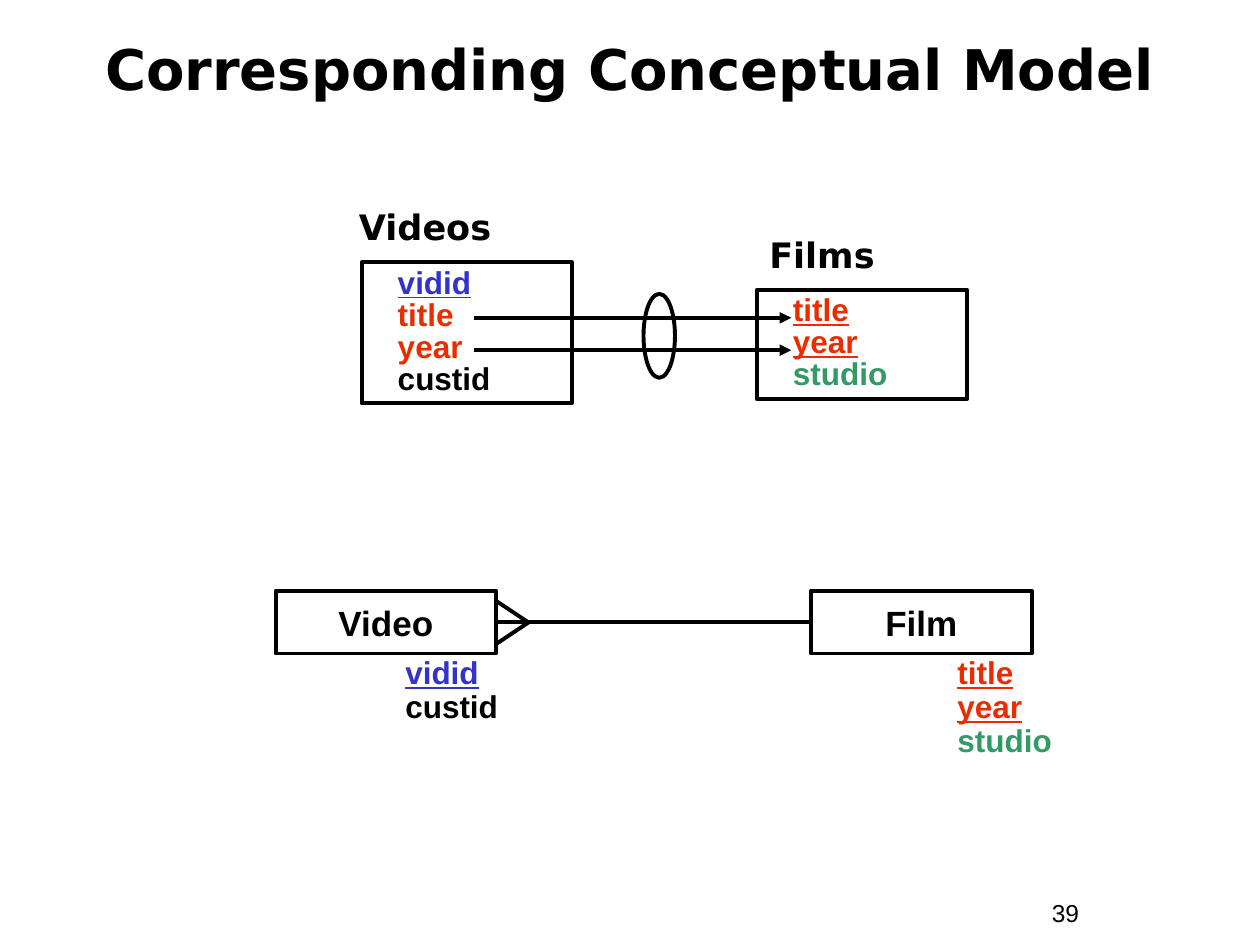
from pptx import Presentation
from pptx.dml.color import RGBColor
from pptx.enum.shapes import MSO_CONNECTOR as Connector, MSO_SHAPE as Shape
from pptx.enum.text import MSO_ANCHOR as Anchor, PP_ALIGN as Align
from pptx.oxml.ns import qn
from pptx.util import Pt
from lxml.etree import SubElement

BLACK = RGBColor(0x00, 0x00, 0x00)
BLUE = RGBColor(0x33, 0x33, 0xCC)
RED = RGBColor(0xEA, 0x2D, 0x00)
GREEN = RGBColor(0x33, 0x99, 0x66)
HEADING_FONT = "DejaVu Sans"
BODY_FONT = "Arial"
LINE_WIDTH = 2.25

# Each attribute is (name, colour, underlined as part of the key).
VIDEO_ID = ("vidid", BLUE, True)
CUSTOMER_ID = ("custid", BLACK, False)
FILM_ATTRIBUTES = [("title", RED, True), ("year", RED, True), ("studio", GREEN, False)]
VIDEO_ATTRIBUTES = [VIDEO_ID, ("title", RED, False), ("year", RED, False), CUSTOMER_ID]


def set_values(target, values):
    for name, value in values.items():
        setattr(target, name, value)


def write_lines(shape, lines, size, font=BODY_FONT, bold=True, align=Align.LEFT,
                anchor=Anchor.TOP, spacing=1.0, indent=0, wrap=True):
    """Fill a shape with one paragraph for each (text, colour, underlined) line."""
    frame = shape.text_frame
    set_values(frame, {"word_wrap": wrap, "vertical_anchor": anchor})
    for number, (text, color, underlined) in enumerate(lines):
        paragraph = frame.add_paragraph() if number else frame.paragraphs[0]
        set_values(paragraph, {"alignment": align, "line_spacing": spacing})
        if indent:
            paragraph._p.get_or_add_pPr().set("marL", str(Pt(indent)))
        run = paragraph.add_run()
        run.text = text
        set_values(run.font, {"name": font, "size": Pt(size), "bold": bold,
                              "underline": underlined})
        run.font.color.rgb = color


def add_text(slide, box, lines, size, **formats):
    text_box = slide.shapes.add_textbox(*map(Pt, box))
    write_lines(text_box, lines, size, **formats)


def add_outline(slide, kind, box):
    shape = slide.shapes.add_shape(kind, *map(Pt, box))
    shape.shadow.inherit = False
    shape.fill.background()
    shape.line.color.rgb = BLACK
    shape.line.width = Pt(LINE_WIDTH)
    return shape


def add_line(slide, start, end, arrow=False):
    line = slide.shapes.add_connector(Connector.STRAIGHT, *map(Pt, (*start, *end)))
    line.line.color.rgb = BLACK
    line.line.width = Pt(LINE_WIDTH)
    if arrow:
        SubElement(line.line._get_or_add_ln(), qn("a:tailEnd"), type="triangle")
    SubElement(line._element.spPr, qn("a:effectLst"))


def add_table_schema(slide, box, name, name_left, attributes):
    """Draw a relational table: its name above a box of attributes."""
    left, top, width, height = box
    add_text(slide, (name_left, top - 36, width, 31.5), [(name, BLACK, False)], 20,
             font=HEADING_FONT)
    table = add_outline(slide, Shape.RECTANGLE, box)
    write_lines(table, attributes, 18, spacing=0.85, indent=13.5)


def add_foreign_key(slide, box):
    """Draw one arrow along the top and one along the bottom, ringed together."""
    left, top, width, height = box
    for y in (top, top + height):
        add_line(slide, (left, y), (left + width, y), arrow=True)
    add_outline(slide, Shape.OVAL, (left + 97, top - 13.7, 18, 48))


def add_entity(slide, box, name, attributes, attributes_offset):
    """Draw an entity box with its attributes listed below it."""
    left, top, width, height = box
    entity = add_outline(slide, Shape.RECTANGLE, box)
    write_lines(entity, [(name, BLACK, False)], 20, align=Align.CENTER,
                anchor=Anchor.MIDDLE, wrap=False)
    list_height = 7 + 19.5 * len(attributes)
    add_text(slide, (left + attributes_offset, top + height - 1.4, 84, list_height),
             attributes, 18, spacing=0.9)


def add_many_to_one(slide, box):
    """Draw a relationship line with a crow's foot at its left end."""
    left, top, width, height = box
    middle = top + height / 2
    add_line(slide, (left, middle), (left + width, middle))
    for y in (top, top + height):
        add_line(slide, (left + 18, middle), (left, y))


def add_title(slide, box):
    add_text(slide, box, [("Corresponding Conceptual Model", BLACK, False)], 32,
             font=HEADING_FONT, align=Align.CENTER, anchor=Anchor.MIDDLE, spacing=0.85)


def add_page_number(slide, box):
    add_text(slide, box, [("39", BLACK, False)], 14, bold=False)


def main():
    presentation = Presentation()
    set_values(presentation, {"slide_width": Pt(720), "slide_height": Pt(540)})
    slide = presentation.slides.add_slide(presentation.slide_layouts[6])

    add_page_number(slide, (594, 509.8, 66, 24.5))
    add_title(slide, (24, 12, 672, 60))

    add_table_schema(slide, (432.5, 165.6, 120, 62.6), "Films", 432.5, FILM_ATTRIBUTES)
    add_table_schema(slide, (206.7, 149.8, 120, 80.8), "Videos", 198, VIDEO_ATTRIBUTES)
    add_foreign_key(slide, (270.7, 181.6, 181.5, 18.5))

    add_entity(slide, (157.5, 337.5, 126, 36), "Video", [VIDEO_ID, CUSTOMER_ID], 67)
    add_entity(slide, (463.5, 337.5, 126, 36), "Film", FILM_ATTRIBUTES, 76.5)
    add_many_to_one(slide, (284, 343.7, 179.5, 24))

    presentation.save("out.pptx")


if __name__ == "__main__":
    main()
